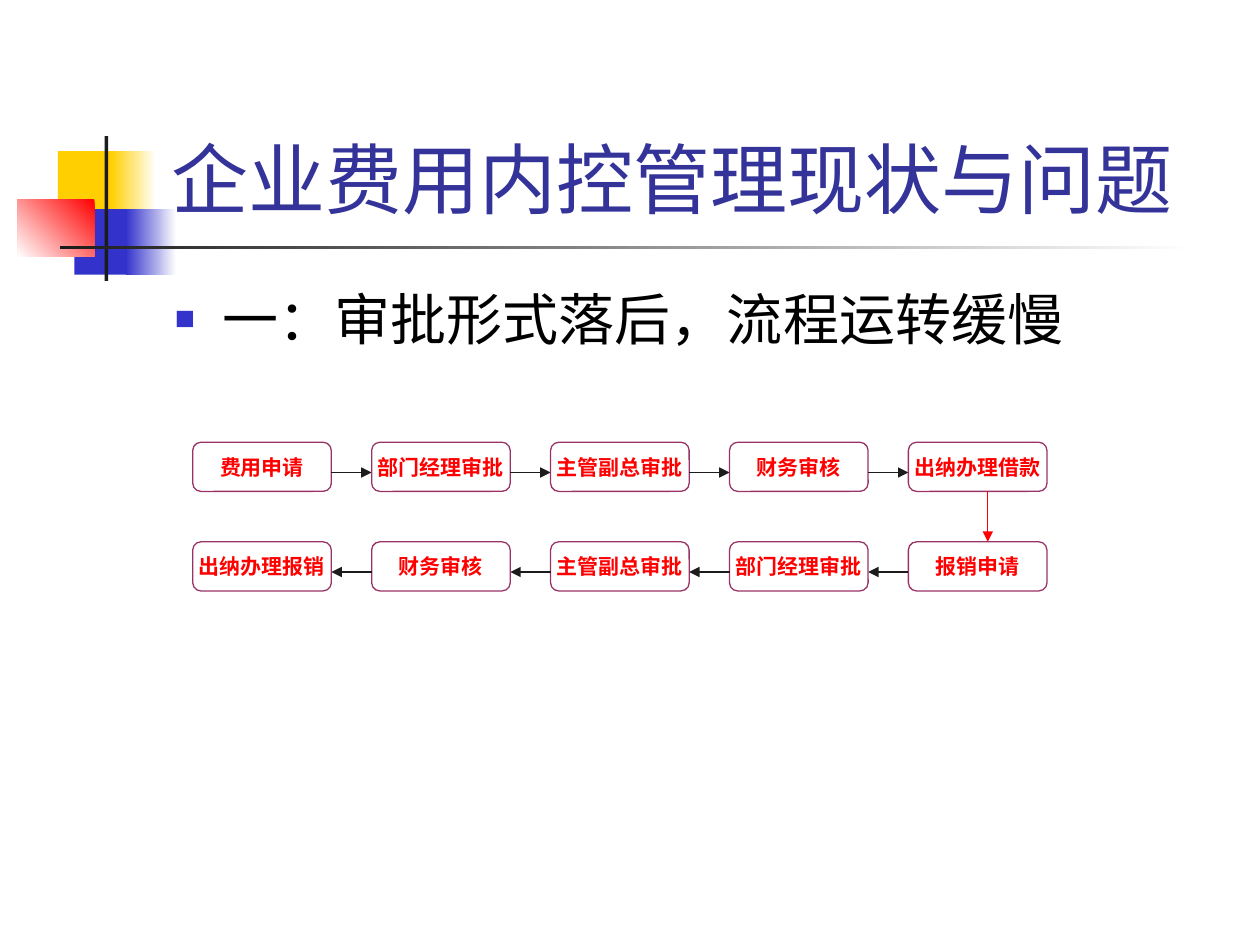
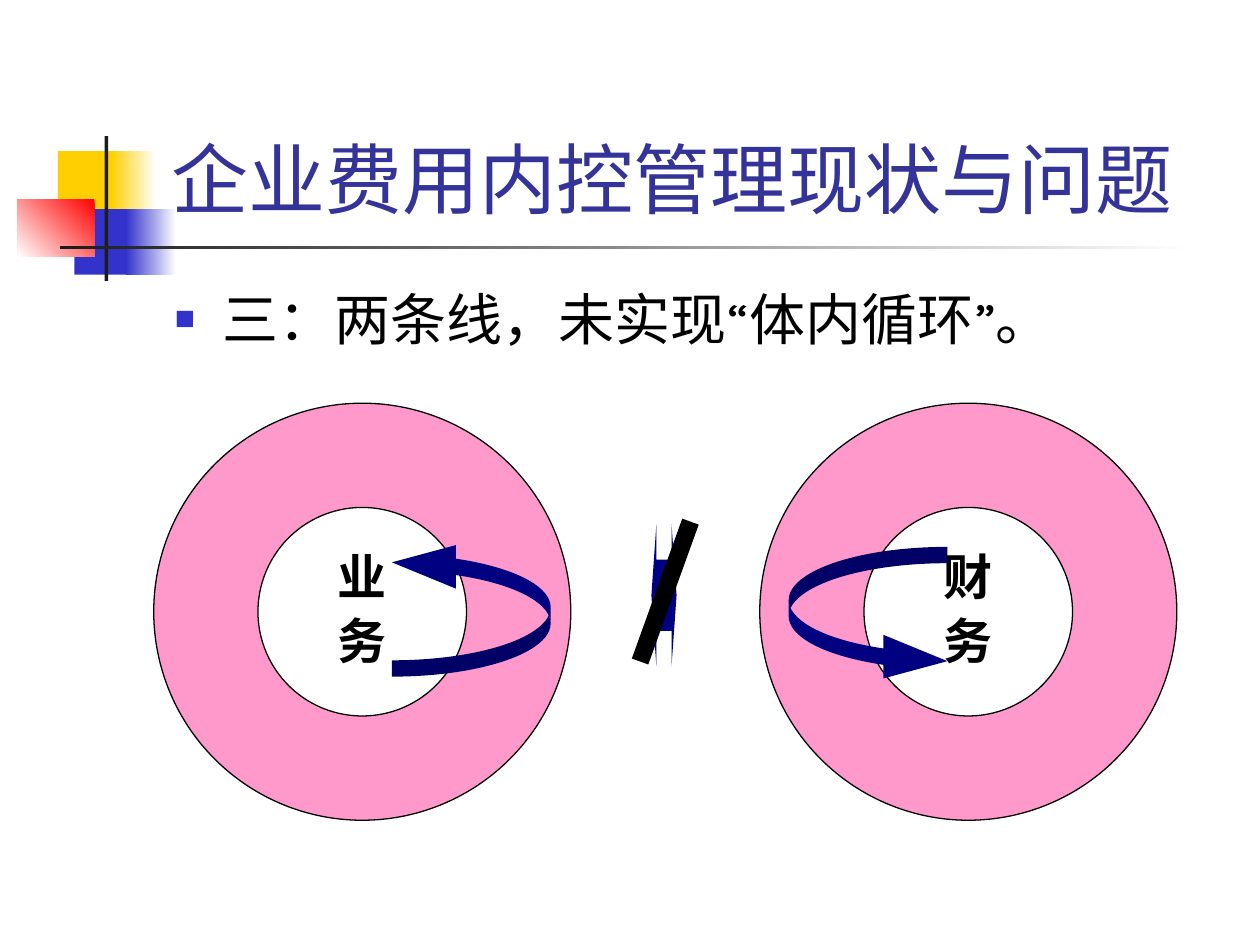
"""Build two slides on the state and problems of expense control."""
import pptx
import pptx.util
import pptx.dml.color
import pptx.enum.dml
import pptx.enum.lang
import pptx.enum.shapes
import pptx.enum.text
import pptx.oxml.ns
from lxml import etree

Inches, Pt = pptx.util.Inches, pptx.util.Pt
RGB = pptx.dml.color.RGBColor.from_string
SHAPE = pptx.enum.shapes.MSO_SHAPE
STRAIGHT = pptx.enum.shapes.MSO_CONNECTOR.STRAIGHT
ALIGN = pptx.enum.text.PP_ALIGN
ANCHOR = pptx.enum.text.MSO_ANCHOR
qn = pptx.oxml.ns.qn

COLORS = {
    "title": "333399", "text": "000000", "yellow": "FFCF01", "blue": "3333CC",
    "red": "FF0000", "white": "FFFFFF", "dark": "1C1C1C", "plum": "993366",
    "pink": "FF99CC", "navy": "000080",
}
TITLE = "企业费用内控管理现状与问题"
STYLES = {
    "title": {
        "frame": {"word_wrap": True, "vertical_anchor": ANCHOR.BOTTOM},
        "paragraph": {"alignment": ALIGN.LEFT},
        "font": {"name": "Karla", "size": Pt(44), "bold": False}, "color": "title",
    },
    "point": {
        "frame": {"word_wrap": True, "vertical_anchor": ANCHOR.TOP},
        "paragraph": {"alignment": ALIGN.LEFT},
        "font": {"name": "Karla", "size": Pt(32)}, "color": "text",
    },
    "step": {
        "frame": {"word_wrap": False, "vertical_anchor": ANCHOR.MIDDLE},
        "paragraph": {"alignment": ALIGN.CENTER},
        "font": {"name": "Arial", "size": Pt(12), "bold": True}, "color": "red",
    },
    "ring": {
        "frame": {"word_wrap": True, "vertical_anchor": ANCHOR.TOP},
        "paragraph": {"alignment": ALIGN.CENTER, "line_spacing": Pt(36.5)},
        "font": {"name": "Noto Sans CJK SC", "size": Pt(28), "bold": True}, "color": "text",
    },
}
DECORATION = [
    ((0.46, 1.2, 0.48, 0.52), ["yellow"], 0),
    ((0.88, 1.2, 0.36, 0.52), ["white", "yellow"], 180),
    ((0.59, 1.66, 0.46, 0.52), ["blue"], 0),
    ((1, 1.66, 0.4, 0.52), ["white", "blue"], 180),
    ((0.14, 1.58, 0.61, 0.46), ["red", "white"], 225),
    ((0.83, 1.08, 0.03, 1.15), ["dark"], 0),
    ((0.48, 1.95, 9, 0.03), ["white", "dark"], 180),
]


def write(frame, text, style_name):
    style = STYLES[style_name]
    paragraph = frame.paragraphs[0]
    run = paragraph.add_run()
    run.text = text
    frame.auto_size = pptx.enum.text.MSO_AUTO_SIZE.NONE
    for target, part in ((frame, "frame"), (paragraph, "paragraph"), (run.font, "font")):
        for attribute, value in style[part].items():
            setattr(target, attribute, value)
    run.font.color.rgb = RGB(COLORS[style["color"]])
    run.font.language_id = pptx.enum.lang.MSO_LANGUAGE_ID.SIMPLIFIED_CHINESE
    etree.SubElement(run.font._element, qn("a:ea"), typeface=style["font"]["name"])
    return paragraph


def draw_line(slide, start, end, color, width, arrow=True):
    line = slide.shapes.add_connector(STRAIGHT, *(Inches(v) for v in (*start, *end)))
    line.line.color.rgb = RGB(COLORS[color])
    line.line.width = Pt(width)
    if arrow:
        etree.SubElement(line.line._get_or_add_ln(), qn("a:tailEnd"), type="triangle")
    etree.SubElement(line._element.spPr, qn("a:effectLst"))


deck = pptx.Presentation()
deck.slide_width, deck.slide_height = Inches(10), Inches(7.5)
slides = []
for point in ("一：审批形式落后，流程运转缓慢", "三：两条线，未实现“体内循环”。"):
    slide = deck.slides.add_slide(deck.slide_layouts[5])
    slides.append(slide)
    for box, fill_colors, angle in DECORATION:
        block = slide.shapes.add_shape(SHAPE.RECTANGLE, *map(Inches, box))
        block.shadow.inherit = False
        block.line.fill.background()
        if len(fill_colors) == 1:
            block.fill.solid()
            block.fill.fore_color.rgb = RGB(COLORS[fill_colors[0]])
        else:
            block.fill.gradient()
            block.fill.gradient_angle = angle
            for stop, color in zip(block.fill.gradient_stops, fill_colors):
                stop.color.rgb = RGB(COLORS[color])

    heading = slide.shapes.title
    for side, value in zip(("left", "top", "width", "height"), (1.26, 0.23, 8.52, 1.6)):
        setattr(heading, side, Inches(value))
    write(heading.text_frame, TITLE, "title")

    body = slide.shapes.add_textbox(*map(Inches, (1.29, 2.21, 8.5, 4.5)))
    properties = write(body.text_frame, point, "point")._p.get_or_add_pPr()
    properties.set("marL", str(Inches(0.38)))
    properties.set("indent", str(-Inches(0.38)))
    bullet_color = etree.SubElement(properties, qn("a:buClr"))
    etree.SubElement(bullet_color, qn("a:srgbClr"), val=COLORS["blue"])
    etree.SubElement(properties, qn("a:buSzPct"), val="60000")
    etree.SubElement(properties, qn("a:buFont"), typeface="Arial")
    etree.SubElement(properties, qn("a:buChar"), char="■")

approval, cycle = slides

STEP_LEFT, STEP_PITCH, STEP_WIDTH, STEP_HEIGHT = 1.53, 1.42, 1.1, 0.39
ROWS = [
    (3.51, 1, ["费用申请", "部门经理审批", "主管副总审批", "财务审核", "出纳办理借款"]),
    (4.3, -1, ["报销申请", "部门经理审批", "主管副总审批", "财务审核", "出纳办理报销"]),
]
for top, direction, steps in ROWS:
    for i, label in enumerate(steps):
        column = i if direction == 1 else len(steps) - 1 - i
        left = STEP_LEFT + column * STEP_PITCH
        step = approval.shapes.add_shape(
            SHAPE.FLOWCHART_ALTERNATE_PROCESS,
            *map(Inches, (left, top, STEP_WIDTH, STEP_HEIGHT)))
        step.shadow.inherit = False
        step.fill.background()
        step.line.color.rgb = RGB(COLORS["plum"])
        step.line.width = Pt(0.75)
        write(step.text_frame, label, "step")
        if i < len(steps) - 1:
            start = left + STEP_WIDTH if direction == 1 else left
            end = start + direction * (STEP_PITCH - STEP_WIDTH)
            draw_line(approval, (start, top + 0.24), (end, top + 0.24), "dark", 0.75)
draw_line(approval, (7.84, 3.9), (7.84, 4.3), "red", 0.75)

RINGS = [
    ("业务", 1.22, 2.48, (3.11, 4.29, 1.26, 1.08), 180),
    ("财务", 6.03, 7.29, (6.26, 4.34, 1.26, 1.08), 0),
]
for label, ring_left, label_left, flow_box, rotation in RINGS:
    ring = cycle.shapes.add_shape(SHAPE.DONUT, *map(Inches, (ring_left, 3.2, 3.31, 3.31)))
    ring.shadow.inherit = False
    ring.adjustments[0] = 0.25
    ring.fill.solid()
    ring.fill.fore_color.rgb = RGB(COLORS["pink"])
    ring.line.color.rgb = RGB(COLORS["text"])
    ring.line.width = Pt(0.75)

    ring_label = cycle.shapes.add_textbox(*map(Inches, (label_left, 4.25, 0.79, 1.13)))
    write(ring_label.text_frame, label, "ring")

    flow = cycle.shapes.add_shape(SHAPE.CURVED_RIGHT_ARROW, *map(Inches, flow_box))
    flow.rotation = rotation
    for i, value in enumerate((0.12, 0.32, 0.47)):
        flow.adjustments[i] = value
    flow.shadow.inherit = False
    flow.fill.solid()
    flow.fill.fore_color.rgb = RGB(COLORS["navy"])
    flow.line.fill.background()

exchange = cycle.shapes.add_shape(SHAPE.LEFT_RIGHT_ARROW, *map(Inches, (5.17, 4.16, 0.2, 1.13)))
exchange.adjustments[0], exchange.adjustments[1] = 0.5, 0.2
exchange.shadow.inherit = False
exchange.fill.solid()
exchange.fill.fore_color.rgb = RGB(COLORS["navy"])
exchange.line.fill.background()
draw_line(cycle, (5.48, 4.14), (5.08, 5.25), "text", 10, arrow=False)

deck.save("out.pptx")
